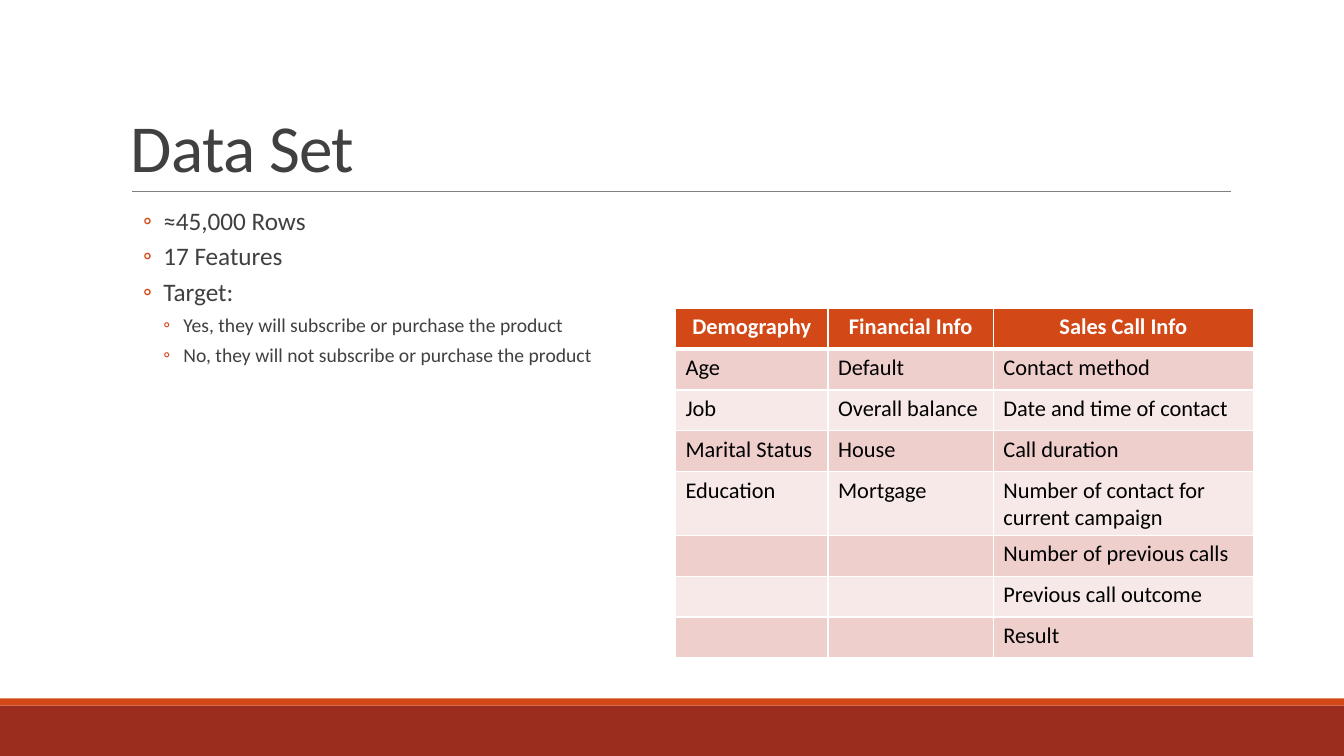
from lxml.etree import SubElement
from pptx import Presentation
from pptx.dml.color import RGBColor
from pptx.enum.shapes import MSO_CONNECTOR, MSO_SHAPE
from pptx.enum.text import MSO_ANCHOR, PP_ALIGN
from pptx.oxml import parse_xml
from pptx.oxml.ns import nsdecls, qn
from pptx.util import Inches, Pt

WIDTH, HEIGHT = 13.33, 7.5
FONT = "Calibri"
ORANGE = RGBColor(0xD3, 0x48, 0x17)
BRICK = RGBColor(0x9B, 0x2D, 0x1F)
GRAY = RGBColor(0x80, 0x80, 0x80)
DARK = RGBColor(0x40, 0x40, 0x40)
BLACK = RGBColor(0, 0, 0)
WHITE = RGBColor(0xFF, 0xFF, 0xFF)
BANDS = [RGBColor(0xEF, 0xCF, 0xCC), RGBColor(0xF7, 0xE9, 0xE8)]

POINTS = [
    (1, "≈45,000 Rows"),
    (1, "17 Features"),
    (1, "Target:"),
    (2, "Yes, they will subscribe or purchase the product"),
    (2, "No, they will not subscribe or purchase the product"),
]
LEVELS = {1: {"indent": 0.42, "size": 18}, 2: {"indent": 0.62, "size": 14}}

FEATURES = {
    "Demography": ["Age", "Job", "Marital Status", "Education"],
    "Financial Info": ["Default", "Overall balance", "House", "Mortgage"],
    "Sales Call Info": [
        "Contact method", "Date and time of contact", "Call duration",
        "Number of contact for current campaign",
        "Number of previous calls", "Previous call outcome", "Result",
    ],
}
COLUMN_SHARES = [0.264, 0.286, 0.45]
ROW_HEIGHT = 0.405


def set_all(target, values):
    for name, value in values.items():
        setattr(target, name, value)


def write(para, text, size, color, bold=False):
    span = para.add_run()
    span.text = text
    set_all(span.font, {"name": FONT, "size": Pt(size), "bold": bold})
    span.font.color.rgb = color
    return span


def add_frame(page, box, margins, anchor):
    frame = page.shapes.add_textbox(*map(Inches, box)).text_frame
    sides = ("margin_left", "margin_top", "margin_right", "margin_bottom")
    set_all(frame, dict(zip(sides, map(Inches, margins))))
    set_all(frame, {"word_wrap": True, "vertical_anchor": anchor})
    return frame


def add_footer(page, box):
    """Brick band with a thin orange strip along its top."""
    left, top, width, height = box
    strip = 0.07
    bands = [(top + strip, height - strip, BRICK), (top, strip, ORANGE)]
    for band_top, band_height, color in bands:
        band = page.shapes.add_shape(
            MSO_SHAPE.RECTANGLE,
            *map(Inches, (left, band_top, width, band_height)))
        band.shadow.inherit = False
        band.fill.solid()
        band.fill.fore_color.rgb = color
        band.line.fill.background()


def add_title(page, box, text):
    """Title set on the bottom of its box, with a rule beneath."""
    left, top, width, height = box
    frame = add_frame(page, box, (0.1, 0.05, 0.1, 0.05), MSO_ANCHOR.BOTTOM)
    para = frame.paragraphs[0]
    para.line_spacing = 0.85
    span = write(para, text, 48, DARK)
    span.font._element.set("spc", "-50")

    start, end, bottom = left + 0.11, left + width + 0.01, top + height
    rule = page.shapes.add_connector(
        MSO_CONNECTOR.STRAIGHT, *map(Inches, (start, bottom, end, bottom)))
    rule.line.color.rgb = GRAY
    rule.line.width = Pt(0.5)
    SubElement(rule._element.spPr, qn("a:effectLst"))


def add_points(page, box, points):
    """Bulleted list on two levels."""
    frame = add_frame(page, box, (0, 0.05, 0, 0.05), MSO_ANCHOR.TOP)
    for number, (level, text) in enumerate(points):
        para = frame.add_paragraph() if number else frame.paragraphs[0]
        set_all(para, {"level": level, "line_spacing": 0.9,
                       "space_before": Pt(2), "space_after": Pt(4)})
        properties = para._p.get_or_add_pPr()
        properties.set("marL", str(Inches(LEVELS[level]["indent"])))
        properties.set("indent", str(Inches(-0.2)))
        bullet_color = SubElement(properties, qn("a:buClr"))
        SubElement(bullet_color, qn("a:srgbClr"), val=str(ORANGE))
        SubElement(properties, qn("a:buFont"), typeface=FONT)
        SubElement(properties, qn("a:buChar"), char="◦")
        write(para, text, LEVELS[level]["size"], DARK)


def add_borders(cell, widths):
    for position, (side, width) in enumerate(widths.items()):
        cell._tc.get_or_add_tcPr().insert(position, parse_xml(
            f'<a:ln{side} {nsdecls("a")} w="{Pt(width)}"><a:solidFill>'
            f'<a:srgbClr val="{WHITE}"/></a:solidFill></a:ln{side}>'))


def add_features(page, box, features):
    """Banded table, one column for each group of features."""
    width = box[2]
    row_count = 1 + max(map(len, features.values()))
    table = page.shapes.add_table(
        row_count, len(features), *map(Inches, box)).table
    for row in table.rows:
        row.height = Inches(ROW_HEIGHT)
    for column, share in zip(table.columns, COLUMN_SHARES):
        column.width = Inches(width * share)

    for column, (heading, entries) in enumerate(features.items()):
        for row in range(row_count):
            cell = table.cell(row, column)
            header = row == 0
            cell.fill.solid()
            cell.fill.fore_color.rgb = ORANGE if header else BANDS[(row - 1) % 2]
            add_borders(cell, {"L": 1, "R": 1, "T": 3 if row == 1 else 1,
                               "B": 3 if header else 1})
            para = cell.text_frame.paragraphs[0]
            if header:
                para.alignment = PP_ALIGN.CENTER
                write(para, heading, 16, WHITE, bold=True)
            elif row <= len(entries):
                write(para, entries[row - 1], 16, BLACK)


def main():
    deck = Presentation()
    set_all(deck, {"slide_width": Inches(WIDTH), "slide_height": Inches(HEIGHT)})
    page = deck.slides.add_slide(deck.slide_layouts[6])
    margin, content = 0.09 * WIDTH, 0.825 * WIDTH
    add_footer(page, (0, 6.93, WIDTH, HEIGHT - 6.93))
    add_title(page, (margin, 0.31, content, 1.59), "Data Set")
    add_points(page, (margin, 2.02, content, 4.4), POINTS)
    add_features(page, (6.7, 3.06, 0.43 * WIDTH, 8 * ROW_HEIGHT), FEATURES)
    deck.save("out.pptx")


if __name__ == "__main__":
    main()
